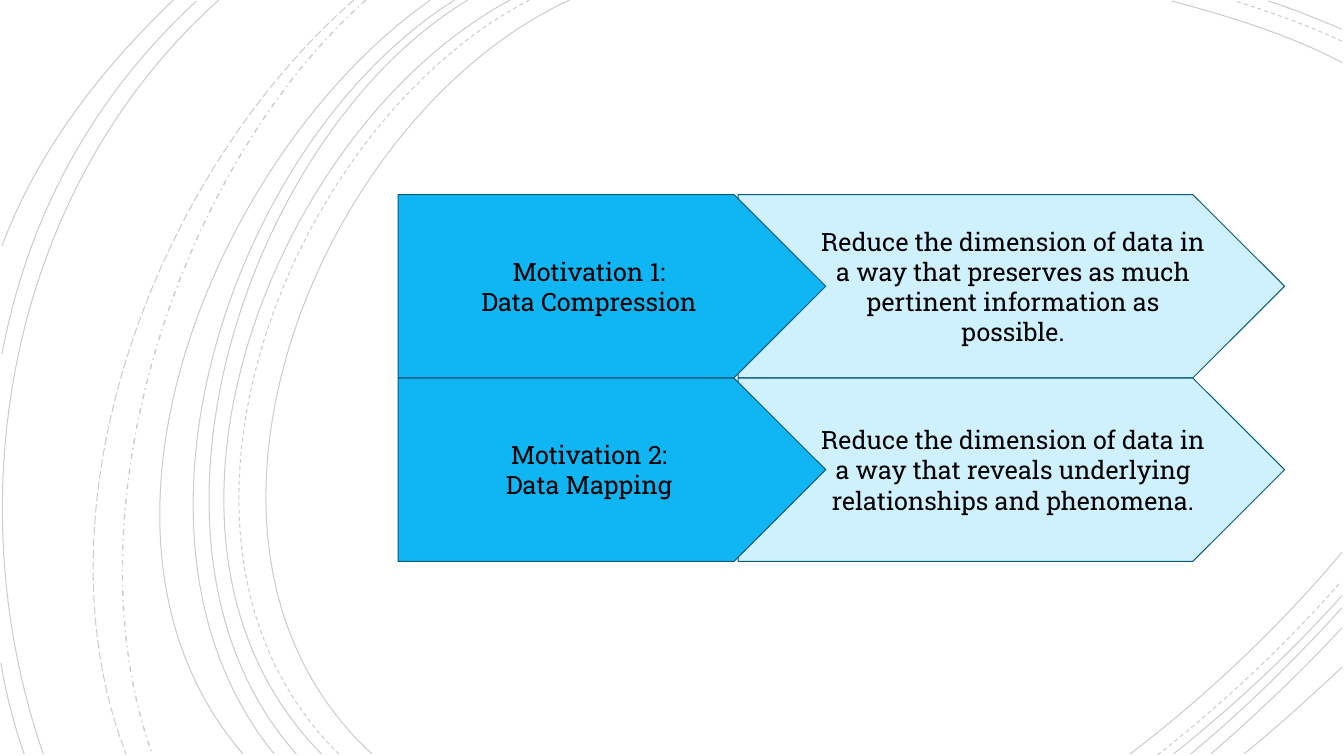
from dataclasses import dataclass

from lxml.etree import SubElement
from pptx import Presentation
from pptx.dml.color import RGBColor
from pptx.enum.dml import MSO_LINE_DASH_STYLE as Dash
from pptx.enum.shapes import MSO_SHAPE as Preset
from pptx.enum.text import MSO_ANCHOR as Anchor, PP_ALIGN as Align
from pptx.oxml.ns import qn
from pptx.shapes.shapetree import GroupShapes, SlideShapes
from pptx.util import Inches, Pt

Point = tuple[float, float]


@dataclass(frozen=True)
class Theme:
    font: str = "Roboto Slab"
    text_size: float = 18
    text: RGBColor = RGBColor(0x00, 0x00, 0x00)
    outline: RGBColor = RGBColor(0x06, 0x5C, 0x7C)
    label_fill: RGBColor = RGBColor(0x10, 0xB6, 0xF4)
    detail_fill: RGBColor = RGBColor(0xCF, 0xF0, 0xFD)
    arc: RGBColor = RGBColor(0x00, 0x00, 0x00)
    arc_alpha: int = 20000
    line_width: float = 0.75


@dataclass(frozen=True)
class Arc:
    """A cubic curve: start, two control points, end."""
    start: Point
    first_control: Point
    second_control: Point
    end: Point
    dash: Dash = Dash.SOLID
    width: float = Theme.line_width


@dataclass(frozen=True)
class Column:
    left: float
    width: float
    fill: RGBColor
    left_inset: float
    right_inset: float


@dataclass(frozen=True)
class Motivation:
    label: tuple[str, ...]
    detail: str


THEME = Theme()
ROW_TOP, ROW_HEIGHT = 1.93, 1.82
LABEL = Column(3.95, 4.24, THEME.label_fill, 0.1, 0.1)
DETAIL = Column(7.32, 5.42, THEME.detail_fill, 0.79, 0.3)

MOTIVATIONS = (
    Motivation(("Motivation 1:", "Data Compression"),
               "Reduce the dimension of data in a way that preserves as much "
               "pertinent information as possible."),
    Motivation(("Motivation 2:", "Data Mapping"),
               "Reduce the dimension of data in a way that reveals underlying "
               "relationships and phenomena."),
)

ARCS = (
    # Large arcs on the left, from the inside out
    Arc((5.65, 0), (3.15, 1.15), (1.43, 5.4), (3.69, 7.48)),
    Arc((5.25, 0), (2.85, 1.25), (1.23, 5.37), (3.36, 7.48), Dash.DASH),
    Arc((5.06, 0), (2.7, 1.27), (1.1, 5.37), (3.19, 7.48)),
    Arc((4.64, 0), (2.44, 1.33), (1.1, 5.41), (2.94, 7.48)),
    Arc((4.51, 0), (2.31, 1.38), (0.97, 5.33), (2.72, 7.48)),
    Arc((4.27, 0), (2.17, 1.47), (0.53, 5.29), (2.41, 7.48)),
    Arc((3.63, 0), (1.76, 1.66), (0.65, 5.09), (1.51, 7.48), Dash.DASH_DOT, 1),
    Arc((3.51, 0), (1.57, 1.69), (0.29, 4.99), (1.25, 7.48), Dash.LONG_DASH),
    Arc((2.17, 0), (0.11, 1.85), (-0.46, 4.9), (0.43, 7.48)),
    Arc((1.95, 0.01), (0.92, 0.96), (0.28, 2.14), (0.02, 3.51)),
    Arc((0.01, 6.58), (0.06, 6.89), (0.14, 7.19), (0.24, 7.48)),
    Arc((1.72, 0), (1, 0.69), (0.37, 1.5), (0.02, 2.44)),
    # Top right corner
    Arc((13.31, 0.62), (12.78, 0.34), (12.18, 0.16), (11.62, 0.01)),
    Arc((13.31, 0.41), (12.97, 0.25), (12.6, 0.12), (12.25, 0.01), Dash.DASH),
    Arc((13.31, 0.29), (13.07, 0.19), (12.83, 0.09), (12.58, 0.01)),
    # Bottom right corner
    Arc((11.21, 7.48), (11.97, 6.9), (12.69, 6.22), (13.31, 5.48)),
    Arc((11.48, 7.49), (12.13, 6.98), (12.75, 6.4), (13.3, 5.77), Dash.DASH),
    Arc((11.64, 7.48), (12.23, 7.01), (12.8, 6.48), (13.31, 5.91)),
    Arc((11.81, 7.48), (12.34, 7.04), (12.84, 6.55), (13.31, 6.03)),
    Arc((12.01, 7.48), (12.46, 7.09), (12.9, 6.67), (13.31, 6.23)),
    Arc((12.34, 7.48), (12.67, 7.21), (12.99, 6.92), (13.31, 6.62)),
)


def draw_arc(shapes: GroupShapes, arc: Arc) -> None:
    start, *others = [(Inches(x), Inches(y)) for x, y in
                      (arc.start, arc.first_control, arc.second_control, arc.end)]
    builder = shapes.build_freeform(*start)
    builder.add_line_segments(others, close=False)
    shape = builder.convert_to_shape()

    # Turn the three straight segments into one cubic curve
    outline = shape._element.find(".//" + qn("a:path"))
    curve = SubElement(outline, qn("a:cubicBezTo"))
    for segment in outline.findall(qn("a:lnTo")):
        curve.append(segment[0])
        outline.remove(segment)

    shape.shadow.inherit = False
    shape.fill.background()
    shape.line.color.rgb = THEME.arc
    shape.line.width = Pt(arc.width)
    shape.line.dash_style = arc.dash
    color = shape._element.find(".//" + qn("a:ln")).find(".//" + qn("a:srgbClr"))
    SubElement(color, qn("a:alpha"), val=str(THEME.arc_alpha))


def draw_arrow(shapes: SlideShapes, column: Column, row: int,
               lines: tuple[str, ...]) -> None:
    shape = shapes.add_shape(
        Preset.PENTAGON, Inches(column.left), Inches(ROW_TOP + row * ROW_HEIGHT),
        Inches(column.width), Inches(ROW_HEIGHT))
    shape.shadow.inherit = False
    shape.fill.solid()
    shape.fill.fore_color.rgb = column.fill
    shape.line.color.rgb = THEME.outline
    shape.line.width = Pt(THEME.line_width)

    frame = shape.text_frame
    frame.word_wrap = True
    frame.vertical_anchor = Anchor.MIDDLE
    frame.margin_left = Inches(column.left_inset)
    frame.margin_right = Inches(column.right_inset)
    frame.margin_top = frame.margin_bottom = Inches(0.05)
    for index, line in enumerate(lines):
        paragraph = frame.add_paragraph() if index else frame.paragraphs[0]
        paragraph.alignment = Align.CENTER
        run = paragraph.add_run()
        run.text = line
        run.font.name = THEME.font
        run.font.size = Pt(THEME.text_size)
        run.font.color.rgb = THEME.text


def main() -> None:
    presentation = Presentation()
    presentation.slide_width = Inches(13.33)
    presentation.slide_height = Inches(7.5)
    slide = presentation.slides.add_slide(presentation.slide_layouts[6])

    # Background arcs
    backdrop = slide.shapes.add_group_shape()
    for arc in ARCS:
        draw_arc(backdrop.shapes, arc)

    # Details lie behind the tips of the labels
    for row, motivation in enumerate(MOTIVATIONS):
        draw_arrow(slide.shapes, DETAIL, row, (motivation.detail,))
    for row, motivation in enumerate(MOTIVATIONS):
        draw_arrow(slide.shapes, LABEL, row, motivation.label)

    presentation.save("out.pptx")


if __name__ == "__main__":
    main()
